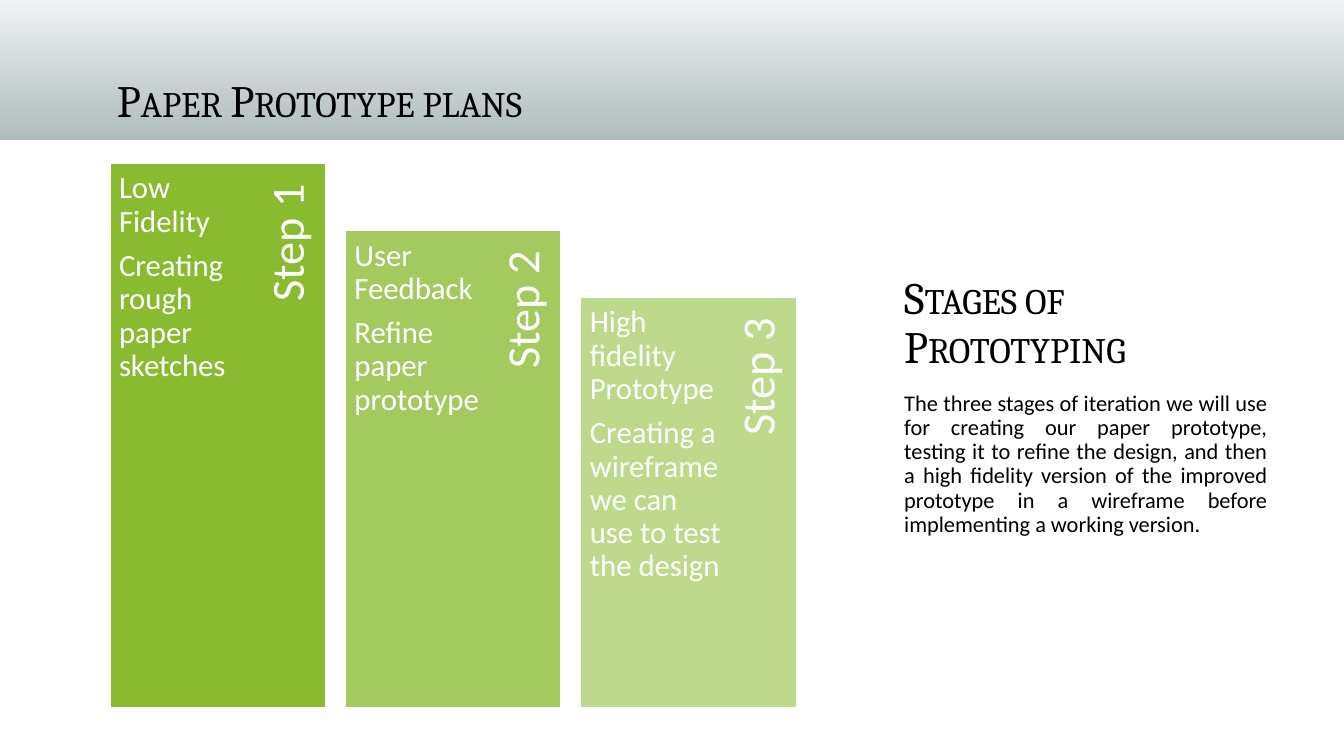
"""Build the slide showing three stepped stages of a paper prototype plan."""
from dataclasses import dataclass

from lxml import etree
from pptx import Presentation
from pptx import util as u
from pptx.dml.color import RGBColor
from pptx.enum import shapes, text
from pptx.oxml.ns import qn

TITLE = "Paper Prototype plans"
SIDE_TITLE = "Stages of Prototyping"
SIDE_BODY = (
    "The three stages of iteration we will use for creating our paper prototype, "
    "testing it to refine the design, and then a high fidelity version of the "
    "improved prototype in a wireframe before implementing a working version."
)
STEPS = [
    {"label": "Step 1", "opacity": 90,
     "lines": ["Low Fidelity", "Creating rough paper sketches"]},
    {"label": "Step 2", "opacity": 70,
     "lines": ["User Feedback", "Refine paper prototype"]},
    {"label": "Step 3", "opacity": 50,
     "lines": ["High fidelity Prototype",
               "Creating a wireframe we can use to test the design"]},
]


@dataclass(frozen=True)
class Theme:
    heading_font: str = "Cambria"
    body_font: str = "Calibri"
    heading_size: int = 32
    label_size: int = 33
    step_size: int = 22
    body_size: int = 16
    ink: str = "000000"
    paper: str = "FFFFFF"
    green: str = "7DB41B"
    band_top: str = "EFF2F2"
    band_bottom: str = "B0BCBC"


THEME = Theme()
WIDTH, HEIGHT = 13.33, 7.5
BAND_HEIGHT = 1.39
BAR_LEFT, BAR_PITCH, BAR_WIDTH = 1.09, 2.335, 2.14
BAR_TOP, BAR_DROP, BAR_BOTTOM = 1.62, 0.665, 7.02
LABEL_CENTER, LABEL_HEIGHT, LABEL_SHARE = 1.8, 0.56, 0.9
STEP_TEXT_SHARE = 0.71
SIDE_LEFT, SIDE_WIDTH = 8.87, 3.8
DEFAULT_INSETS = (0.1, 0.05, 0.1, 0.05)
STEP_INSETS = (0.09,) * 4
LABEL_INSETS = (0.14, 0, 0.21, 0.05)


def color(value):
    return RGBColor.from_string(value)


def add_rectangle(slide, *box):
    shape = slide.shapes.add_shape(
        shapes.MSO_SHAPE.RECTANGLE, *(u.Inches(length) for length in box))
    shape.shadow.inherit = False
    return shape


def add_text(slide, box, lines, font, size, ink, insets=DEFAULT_INSETS,
             anchor=text.MSO_ANCHOR.TOP, align=text.PP_ALIGN.LEFT,
             space_after=0, small_caps=False):
    shape = slide.shapes.add_textbox(*(u.Inches(length) for length in box))
    frame = shape.text_frame
    frame.word_wrap = True
    frame.vertical_anchor = anchor
    (frame.margin_left, frame.margin_top,
     frame.margin_right, frame.margin_bottom) = map(u.Inches, insets)
    for index, line in enumerate(lines):
        paragraph = frame.add_paragraph() if index else frame.paragraphs[0]
        paragraph.alignment = align
        paragraph.line_spacing = 0.9
        paragraph.space_after = u.Pt(space_after)
        run = paragraph.add_run()
        run.text = line
        run.font.name = font
        run.font.size = u.Pt(size)
        run.font.color.rgb = color(ink)
        if small_caps:
            run.font._element.set("cap", "small")
    return shape


def add_heading(slide, box, line):
    add_text(slide, box, [line], THEME.heading_font, THEME.heading_size, THEME.ink,
             anchor=text.MSO_ANCHOR.BOTTOM, small_caps=True)


def add_band(slide):
    band = add_rectangle(slide, 0, 0, WIDTH, BAND_HEIGHT)
    band.line.fill.background()
    band.fill.gradient()
    band.fill.gradient_angle = 270
    for stop, shade in zip(band.fill.gradient_stops, (THEME.band_top, THEME.band_bottom)):
        stop.color.rgb = color(shade)


def add_step(slide, index, step):
    left = BAR_LEFT + index * BAR_PITCH
    top = BAR_TOP + index * BAR_DROP
    height = BAR_BOTTOM - top

    bar = add_rectangle(slide, left, top, BAR_WIDTH, height)
    bar.fill.solid()
    bar.fill.fore_color.rgb = color(THEME.green)
    bar.line.color.rgb = color(THEME.paper)
    bar.line.width = u.Pt(1)
    solid = bar._element.spPr.find(qn("a:solidFill"))
    etree.SubElement(solid[0], qn("a:alpha")).set("val", str(step["opacity"] * 1000))

    length = height * LABEL_SHARE
    label_box = (left + LABEL_CENTER - length / 2,
                 top + (length - LABEL_HEIGHT) / 2, length, LABEL_HEIGHT)
    label = add_text(slide, label_box, [step["label"]], THEME.body_font,
                     THEME.label_size, THEME.paper, LABEL_INSETS,
                     text.MSO_ANCHOR.MIDDLE, text.PP_ALIGN.RIGHT)
    label.rotation = 270

    add_text(slide, (left, top, BAR_WIDTH * STEP_TEXT_SHARE, height), step["lines"],
             THEME.body_font, THEME.step_size, THEME.paper, STEP_INSETS, space_after=8)


def main():
    presentation = Presentation()
    presentation.slide_width = u.Inches(WIDTH)
    presentation.slide_height = u.Inches(HEIGHT)
    slide = presentation.slides.add_slide(presentation.slide_layouts[6])
    add_band(slide)
    add_heading(slide, (1.06, -0.15, 5.85, 1.46), TITLE)
    for index, step in enumerate(STEPS):
        add_step(slide, index, step)
    add_heading(slide, (SIDE_LEFT, 1.25, SIDE_WIDTH, 2.5), SIDE_TITLE)
    add_text(slide, (SIDE_LEFT, 3.84, SIDE_WIDTH, 2.3), [SIDE_BODY], THEME.body_font,
             THEME.body_size, THEME.ink, align=text.PP_ALIGN.JUSTIFY)
    presentation.save("out.pptx")


if __name__ == "__main__":
    main()
